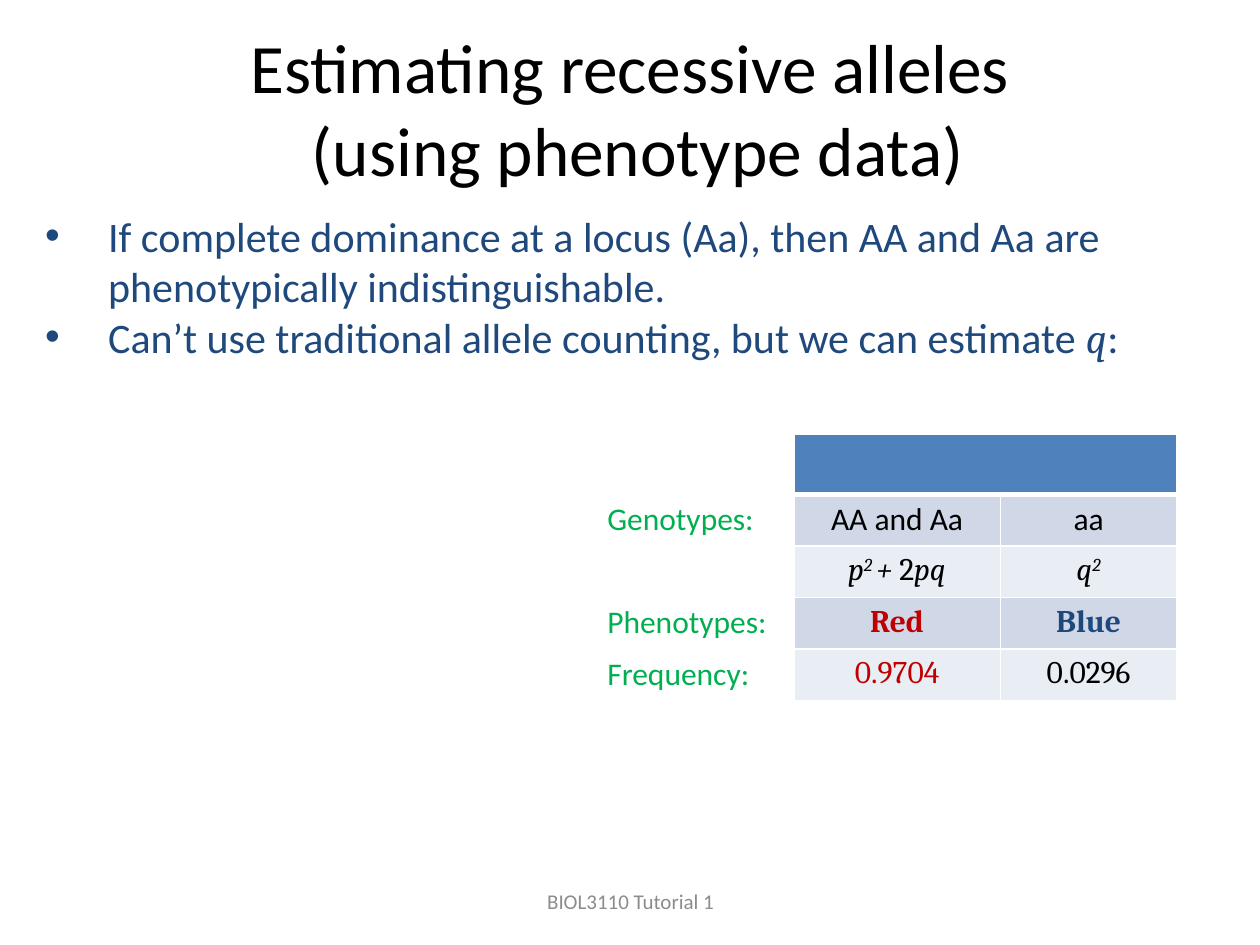
from dataclasses import dataclass

import pptx
import pptx.dml.color
import pptx.enum.text
import pptx.oxml.ns
import pptx.util
from lxml import etree

RGBColor = pptx.dml.color.RGBColor
ALIGN = pptx.enum.text.PP_ALIGN
MIDDLE = pptx.enum.text.MSO_ANCHOR.MIDDLE

BLACK = RGBColor(0x00, 0x00, 0x00)
WHITE = RGBColor(0xFF, 0xFF, 0xFF)
NAVY = RGBColor(0x1F, 0x49, 0x7D)
GREEN = RGBColor(0x00, 0xB0, 0x50)
RED = RGBColor(0xC0, 0x00, 0x00)
GREY = RGBColor(0x8C, 0x8C, 0x8C)
HEADER_BLUE = RGBColor(0x4F, 0x81, 0xBD)
BAND_DARK = RGBColor(0xD0, 0xD8, 0xE8)
BAND_LIGHT = RGBColor(0xE9, 0xED, 0xF4)

SLIDE_WIDTH = pptx.util.Inches(10)
SLIDE_HEIGHT = pptx.util.Inches(7.5)
COLUMN_WIDTHS = (1.58, 1.64, 1.4)
ROW_HEIGHTS = (0.48, 0.41, 0.41, 0.41, 0.41)


@dataclass(frozen=True)
class Piece:
    text: str
    italic: bool = False
    raised: bool = False
    font: str | None = None


@dataclass(frozen=True)
class Entry:
    pieces: tuple[Piece, ...]
    color: RGBColor = BLACK
    font: str = "Calibri"
    bold: bool = False
    align: ALIGN = ALIGN.CENTER


def label(text: str) -> Entry:
    return Entry((Piece(text),), GREEN, align=ALIGN.LEFT)


def value(text: str, color: RGBColor = BLACK, font: str = "Cambria", bold: bool = False) -> Entry:
    return Entry((Piece(text),), color, font, bold)


BULLETS = (
    (Piece("If complete dominance at a locus (Aa), then AA and Aa are phenotypically indistinguishable."),),
    (
        Piece("Can’t use traditional allele counting, but we can estimate "),
        Piece("q", italic=True, font="Cambria"),
        Piece(":"),
    ),
)
HETEROZYGOTES = Entry(
    (
        Piece("p", italic=True),
        Piece("2 ", italic=True, raised=True),
        Piece("+ ", italic=True),
        Piece("2"),
        Piece("pq", italic=True),
    ),
    font="Cambria",
)
HOMOZYGOTES = Entry((Piece("q", italic=True), Piece("2", italic=True, raised=True)), font="Cambria")
ROWS = (
    (label("Genotypes:"), value("AA and Aa", font="Calibri"), value("aa", font="Calibri")),
    (None, HETEROZYGOTES, HOMOZYGOTES),
    (label("Phenotypes:"), value("Red", RED, bold=True), value("Blue", NAVY, bold=True)),
    (label("Frequency:"), value("0.9704", RED), value("0.0296")),
)


def place(left: float, top: float, width: float, height: float) -> tuple[int, ...]:
    return (
        int(SLIDE_WIDTH * left),
        int(SLIDE_HEIGHT * top),
        int(SLIDE_WIDTH * width),
        int(SLIDE_HEIGHT * height),
    )


def style(paragraph, size: float, color: RGBColor, font: str = "Calibri") -> None:
    paragraph.font.size = pptx.util.Pt(size)
    paragraph.font.name = font
    paragraph.font.color.rgb = color


def write(paragraph, pieces: tuple[Piece, ...]) -> None:
    for piece in pieces:
        run = paragraph.add_run()
        run.text = piece.text
        if piece.italic:
            run.font.italic = True
        if piece.font:
            run.font.name = piece.font
        if piece.raised:
            run._r.get_or_add_rPr().set("baseline", "30000")


def add_bullet(paragraph) -> None:
    properties = paragraph._p.get_or_add_pPr()
    indent = pptx.util.Inches(0.5)
    properties.set("marL", str(indent))
    properties.set("indent", str(-indent))
    etree.SubElement(properties, pptx.oxml.ns.qn("a:buFont"), typeface="Arial")
    etree.SubElement(properties, pptx.oxml.ns.qn("a:buChar"), char="•")


def finish_cell(cell, fill: RGBColor, bottom: float) -> None:
    properties = cell._tc.get_or_add_tcPr()
    for side, points in (("L", 1), ("R", 1), ("T", 1), ("B", bottom)):
        border = etree.SubElement(
            properties, pptx.oxml.ns.qn(f"a:ln{side}"), w=str(pptx.util.Pt(points))
        )
        line = etree.SubElement(border, pptx.oxml.ns.qn("a:solidFill"))
        etree.SubElement(line, pptx.oxml.ns.qn("a:srgbClr"), val=str(WHITE))
    cell.fill.solid()
    cell.fill.fore_color.rgb = fill


def fill_entry(cell, entry: Entry) -> None:
    paragraph = cell.text_frame.paragraphs[0]
    paragraph.alignment = entry.align
    style(paragraph, 18, entry.color, entry.font)
    paragraph.font.bold = entry.bold
    write(paragraph, entry.pieces)


def add_title(slide) -> None:
    title = slide.shapes.title
    title.left, title.top, title.width, title.height = place(0.05, 0.03, 0.9, 0.167)
    title.text_frame.text = "Estimating recessive alleles\v (using phenotype data)"
    title.text_frame.vertical_anchor = MIDDLE
    paragraph = title.text_frame.paragraphs[0]
    paragraph.alignment = ALIGN.CENTER
    style(paragraph, 39.6, BLACK)


def add_body(slide) -> None:
    frame = slide.shapes.add_textbox(*place(0.026, 0.216, 0.915, 0.543)).text_frame
    frame.word_wrap = True
    for index, pieces in enumerate(BULLETS):
        paragraph = frame.add_paragraph() if index else frame.paragraphs[0]
        add_bullet(paragraph)
        style(paragraph, 24, NAVY)
        write(paragraph, pieces)


def add_genotype_table(slide) -> None:
    area = place(0.472, 0.459, 0.462, 0.283)
    table = slide.shapes.add_table(len(ROW_HEIGHTS), len(COLUMN_WIDTHS), *area).table
    table.first_row = False
    table.horz_banding = False
    for column, width in zip(table.columns, COLUMN_WIDTHS):
        column.width = pptx.util.Inches(width)
    for row, height in zip(table.rows, ROW_HEIGHTS):
        row.height = pptx.util.Inches(height)
    for column in range(len(COLUMN_WIDTHS)):
        finish_cell(table.cell(0, column), HEADER_BLUE if column else WHITE, 3)
    table.cell(0, 1).merge(table.cell(0, 2))
    for row, entries in enumerate(ROWS, start=1):
        band = BAND_DARK if row % 2 else BAND_LIGHT
        for column, entry in enumerate(entries):
            cell = table.cell(row, column)
            finish_cell(cell, band if column else WHITE, 1)
            if entry:
                fill_entry(cell, entry)


def add_footer(slide) -> None:
    frame = slide.shapes.add_textbox(*place(0.342, 0.927, 0.317, 0.053)).text_frame
    frame.word_wrap = True
    frame.vertical_anchor = MIDDLE
    paragraph = frame.paragraphs[0]
    paragraph.alignment = ALIGN.CENTER
    style(paragraph, 12, GREY)
    write(paragraph, (Piece("BIOL3110 Tutorial 1"),))


def main() -> None:
    deck = pptx.Presentation()
    deck.slide_width, deck.slide_height = SLIDE_WIDTH, SLIDE_HEIGHT
    slide = deck.slides.add_slide(deck.slide_layouts.get_by_name("Title Only"))
    add_title(slide)
    add_body(slide)
    add_genotype_table(slide)
    add_footer(slide)
    deck.save("out.pptx")


if __name__ == "__main__":
    main()
